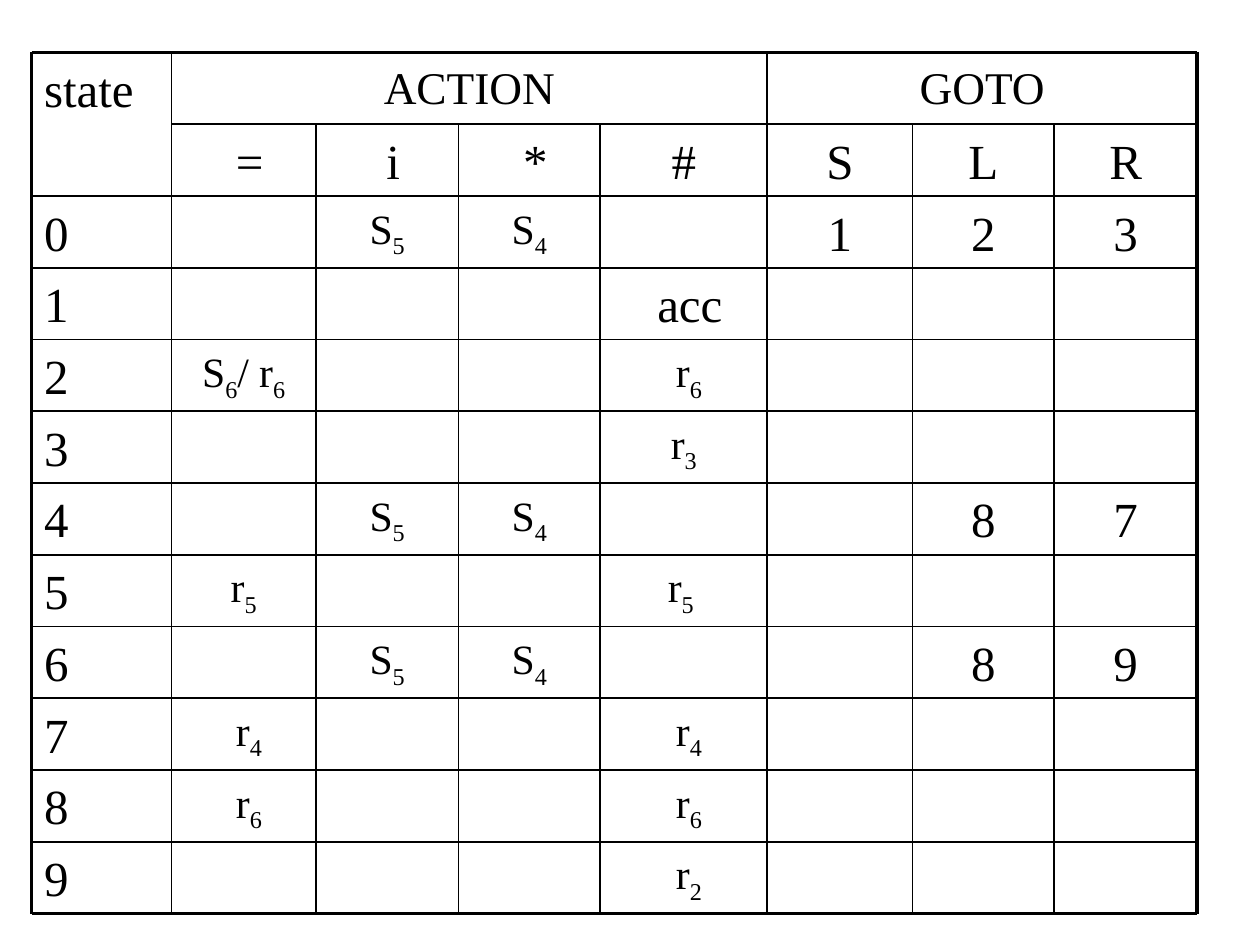
"""Build a slide with the ACTION / GOTO parsing table."""
from itertools import accumulate
from pptx import Presentation
from pptx.dml.color import RGBColor
from pptx.enum.shapes import MSO_CONNECTOR as CONNECTOR
from pptx.enum.text import MSO_ANCHOR as ANCHOR, PP_ALIGN as ALIGN
from pptx.oxml.ns import qn
from pptx.util import Pt
from lxml.etree import SubElement

BLACK = RGBColor(0x00, 0x00, 0x00)
FONT = "Times New Roman"
LEFT, TOP, ROW_HEIGHT = 18, 30, 41
COL_WIDTHS = [80, 82.5, 81.5, 81, 95.5, 83, 81, 81.5]
THIN, THICK = 1, 2.25
ROWS = [
    ["state", "ACTION", "", "", "", "GOTO", "", ""],
    ["", " =", " i", " *", "#", "S", "L", "R"],
    ["0", "", "S_5", "S_4", "", "1", "2", "3"],
    ["1", "", "", "", " acc", "", "", ""],
    ["2", "S_6/ r_6", "", "", " r_6", "", "", ""],
    ["3", "", "", "", "r_3", "", "", ""],
    ["4", "", "S_5", "S_4", "", "", "8", "7"],
    ["5", "r_5", "", "", "r_5 ", "", "", ""],
    ["6", "", "S_5", "S_4", "", "", "8", "9"],
    ["7", " r_4", "", "", " r_4", "", "", ""],
    ["8", " r_6", "", "", " r_6", "", "", ""],
    ["9", "", "", "", " r_2", "", "", ""],
]
MERGES = [((0, 0), (1, 0)), ((0, 1), (0, 4)), ((0, 5), (0, 7))]
GROUP_EDGES = (0, 1, 5, 8)


def add_run(p, text, size, baseline=None):
    """Add one run, lowered when a baseline is given."""
    r = p.add_run()
    r.text = text
    r.font.name, r.font.size = FONT, Pt(size)
    r.font.color.rgb = BLACK
    if baseline:
        r.font._element.set("baseline", str(baseline))


def set_text(tf, text, size=28, align=ALIGN.CENTER):
    """Write text in which an underscore lowers the character after it."""
    p = tf.paragraphs[0]
    p.alignment = align
    head, *tails = text.split("_")
    add_run(p, head, size)
    for tail in tails:
        end = 1 if tail[1:].strip() else len(tail)
        add_run(p, tail[:end], size, baseline=-25000)
        if tail[end:]:
            add_run(p, tail[end:], size)


def format_cell(cell):
    """Set the margins, anchor and fill of one cell."""
    cell.margin_left = cell.margin_right = Pt(7.2)
    cell.margin_top, cell.margin_bottom = Pt(6.5), Pt(0)
    cell.vertical_anchor = ANCHOR.TOP
    cell.fill.background()


def text_size(text, row, col):
    """Return the size for a group heading, an indexed entry or a plain one."""
    if row == 0 and col > 0:
        return 25.9
    return 23.8 if "_" in text else 28


def add_parse_table(s):
    """Add the parsing table to the slide."""
    frame = s.shapes.add_table(len(ROWS), len(COL_WIDTHS), Pt(LEFT), Pt(TOP),
                               Pt(sum(COL_WIDTHS)), Pt(ROW_HEIGHT * len(ROWS)))
    table = frame.table
    table.first_row = table.horz_banding = False
    for column, width in zip(table.columns, COL_WIDTHS):
        column.width = Pt(width)
    for start, end in MERGES:
        table.cell(*start).merge(table.cell(*end))
    for row, entries in enumerate(ROWS):
        table.rows[row].height = Pt(ROW_HEIGHT)
        for col, text in enumerate(entries):
            cell = table.cell(row, col)
            format_cell(cell)
            if text:
                set_text(cell.text_frame, text, size=text_size(text, row, col),
                         align=ALIGN.CENTER if col else ALIGN.LEFT)


def add_rule(s, x1, y1, x2, y2, width):
    """Draw one straight rule."""
    line = s.shapes.add_connector(CONNECTOR.STRAIGHT, Pt(x1), Pt(y1), Pt(x2), Pt(y2))
    line.line.color.rgb = BLACK
    line.line.width = Pt(width)
    SubElement(line._element.spPr, qn("a:effectLst"))


def add_grid(s):
    """Rule the rows and columns, leaving the merged headings open."""
    xs = list(accumulate(COL_WIDTHS, initial=LEFT))
    ys = [TOP + ROW_HEIGHT * i for i in range(len(ROWS) + 1)]
    for i, y in enumerate(ys):
        start = xs[1] if i == 1 else xs[0]
        add_rule(s, start, y, xs[-1], y, THICK if y in (ys[0], ys[-1]) else THIN)
    for i, x in enumerate(xs):
        start = ys[0] if i in GROUP_EDGES else ys[1]
        add_rule(s, x, start, x, ys[-1], THICK if x in (xs[0], xs[-1]) else THIN)


def main():
    """Create the presentation and save it."""
    prs = Presentation()
    prs.slide_width, prs.slide_height = Pt(720), Pt(540)
    s = prs.slides.add_slide(prs.slide_layouts[6])
    add_parse_table(s)
    add_grid(s)
    prs.save("out.pptx")


if __name__ == "__main__":
    main()
